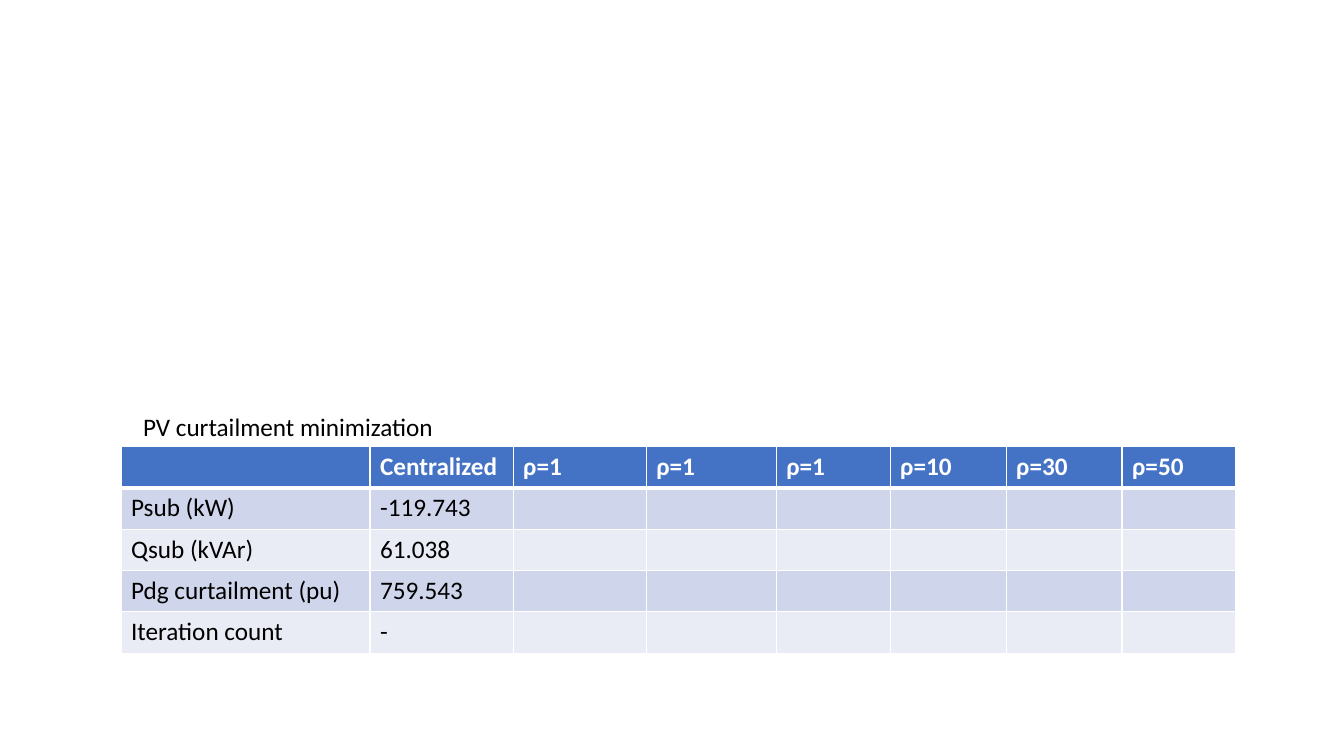
import pptx
import pptx.dml.color
import pptx.enum.text
import pptx.oxml
import pptx.oxml.ns
import pptx.util
from pptx.util import Inches

COLORS = {
    "white": "FFFFFF",
    "black": "000000",
    "header": "4472C4",
    "odd_row": "CFD5EA",
    "even_row": "E9EBF5",
}
COLUMN_WIDTHS = [2.47, 1.42, 1.32, 1.29, 1.13, 1.15, 1.15, 1.13]
ROW_HEIGHT = 0.41
HEADER = ["", "Centralized", "ρ=1", "ρ=1", "ρ=1", "ρ=10", "ρ=30", "ρ=50"]
RESULTS = [
    ["Psub (kW)", "-119.743"],
    ["Qsub (kVAr)", "61.038"],
    ["Pdg curtailment (pu)", "759.543"],
    ["Iteration count", "-"],
]


def rgb(name):
    return pptx.dml.color.RGBColor.from_string(COLORS[name])


def write_text(text_frame, text, color, bold=False):
    text_frame.text = text
    for run in text_frame.paragraphs[0].runs:
        run.font.name = "Calibri"
        run.font.size = pptx.util.Pt(18)
        run.font.bold = bold
        run.font.color.rgb = rgb(color)


def set_borders(cell, top, bottom):
    properties = cell._tc.get_or_add_tcPr()
    for side, points in (("L", 1), ("R", 1), ("T", top), ("B", bottom)):
        properties.append(pptx.oxml.parse_xml(
            f'<a:ln{side} {pptx.oxml.ns.nsdecls("a")} w="{pptx.util.Pt(points)}">'
            f'<a:solidFill><a:srgbClr val="{COLORS["white"]}"/></a:solidFill>'
            f'</a:ln{side}>'
        ))


def add_caption(slide, left, top, width, height):
    caption = slide.shapes.add_textbox(Inches(left), Inches(top), Inches(width), Inches(height))
    caption.text_frame.word_wrap = True
    caption.text_frame.auto_size = pptx.enum.text.MSO_AUTO_SIZE.SHAPE_TO_FIT_TEXT
    write_text(caption.text_frame, "PV curtailment minimization", "black")


def add_results_table(slide, left, top):
    rows = [HEADER] + [row + [""] * (len(HEADER) - len(row)) for row in RESULTS]
    table = slide.shapes.add_table(
        len(rows), len(HEADER), Inches(left), Inches(top),
        Inches(sum(COLUMN_WIDTHS)), Inches(ROW_HEIGHT * len(rows)),
    ).table
    for column, width in zip(table.columns, COLUMN_WIDTHS):
        column.width = Inches(width)
    for row_index, row in enumerate(rows):
        table.rows[row_index].height = Inches(ROW_HEIGHT)
        is_header = row_index == 0
        fill = "header" if is_header else ("odd_row" if row_index % 2 else "even_row")
        for column_index, text in enumerate(row):
            cell = table.cell(row_index, column_index)
            write_text(cell.text_frame, text, "white" if is_header else "black", is_header)
            set_borders(cell, 3 if row_index == 1 else 1, 3 if is_header else 1)
            cell.fill.solid()
            cell.fill.fore_color.rgb = rgb(fill)


def main():
    presentation = pptx.Presentation()
    presentation.slide_width = Inches(13.33)
    presentation.slide_height = Inches(7.5)
    slide = presentation.slides.add_slide(presentation.slide_layouts[6])
    add_results_table(slide, 1.2, 4.43)
    add_caption(slide, 1.32, 4.03, 3.49, 0.4)
    presentation.save("out.pptx")


if __name__ == "__main__":
    main()
